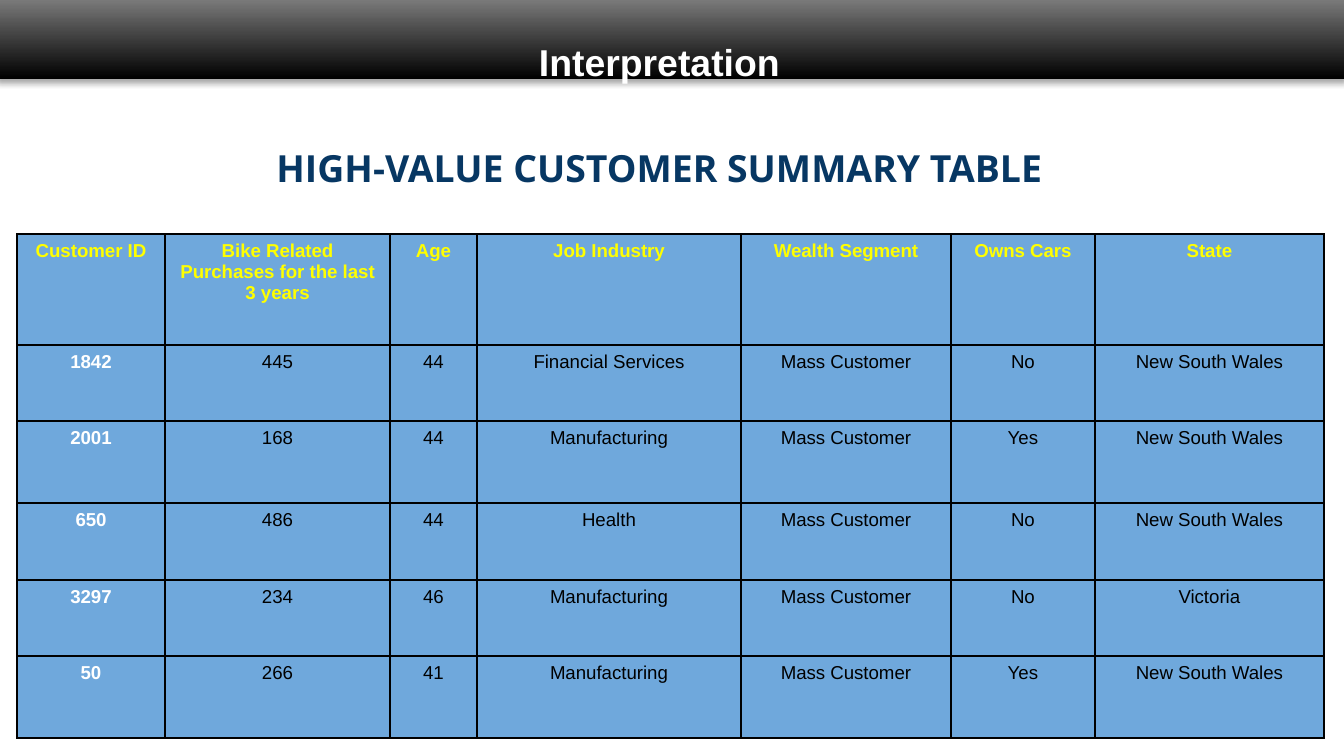
from lxml import etree
from pptx import Presentation
from pptx import util as u
from pptx.dml.color import RGBColor
from pptx.enum import shapes, text
from pptx.oxml import ns

# Content
TITLE = "Interpretation"
HEADING = "HIGH-VALUE CUSTOMER SUMMARY TABLE"
HEADERS = ["Customer ID", "Bike Related Purchases for the last 3 years", "Age",
           "Job Industry", "Wealth Segment", "Owns Cars", "State"]
CUSTOMERS = [
    ("1842", "445", "44", "Financial Services", "Mass Customer", "No", "New South Wales"),
    ("2001", "168", "44", "Manufacturing", "Mass Customer", "Yes", "New South Wales"),
    ("650", "486", "44", "Health", "Mass Customer", "No", "New South Wales"),
    ("3297", "234", "46", "Manufacturing", "Mass Customer", "No", "Victoria"),
    ("50", "266", "41", "Manufacturing", "Mass Customer", "Yes", "New South Wales"),
]

# Layout in pixels
SLIDE_SIZE = (1344, 756)
BANNER_BOX = (-4, -44, 1351, 123)
TITLE_BOX = (30, 26, 1259, 86)
HEADING_BOX = (30, 125, 1259, 75)
TABLE_ORIGIN = (17, 234)
COLUMN_WIDTHS = [148, 225, 87, 264, 210, 144, 229]
ROW_HEIGHTS = [111, 76, 82, 77, 76, 82]

BLACK, WHITE, GRAY = "000000", "FFFFFF", "BDBDBD"
NAVY, YELLOW, BLUE = "073763", "FFFF00", "6FA8DC"


def px(value):
    return u.Emu(round(value * 914400 / 134.4))


def rgb(value):
    return RGBColor.from_string(value)


def add_element(parent, tag, **attributes):
    return etree.SubElement(parent, ns.qn(tag), attributes)


def write(frame, words, size, font, color, bold, spacing=None):
    paragraph = frame.paragraphs[0]
    paragraph.alignment = text.PP_ALIGN.CENTER
    if spacing:
        paragraph.line_spacing = spacing
    run = paragraph.add_run()
    run.text = words
    run.font.size = u.Pt(size)
    run.font.name = font
    run.font.bold = bold
    run.font.color.rgb = rgb(color)


def format_box(shape, box):
    shape.left, shape.top, shape.width, shape.height = map(px, box)
    frame = shape.text_frame
    frame.word_wrap = True
    frame.auto_size = text.MSO_AUTO_SIZE.NONE
    frame.vertical_anchor = text.MSO_ANCHOR.TOP
    frame.margin_left = frame.margin_right = u.Inches(0.1)
    frame.margin_top = frame.margin_bottom = u.Inches(0.1)
    return frame


def add_borders(cell):
    properties = cell._tc.get_or_add_tcPr()
    for index, side in enumerate(("a:lnL", "a:lnR", "a:lnT", "a:lnB")):
        line = add_element(properties, side, w=str(u.Pt(1)))
        add_element(add_element(line, "a:solidFill"), "a:srgbClr", val=BLACK)
        properties.insert(index, line)


presentation = Presentation()
presentation.slide_width, presentation.slide_height = map(px, SLIDE_SIZE)
slide = presentation.slides.add_slide(presentation.slide_layouts[5])
title = slide.shapes.title

# Banner behind the title
banner = slide.shapes.add_shape(shapes.MSO_SHAPE.RECTANGLE, *map(px, BANNER_BOX))
banner.line.fill.background()
banner.fill.gradient()
banner.fill.gradient_angle = 90
for stop, color in zip(banner.fill.gradient_stops, (BLACK, GRAY)):
    stop.color.rgb = rgb(color)
banner.shadow.inherit = False
effects = banner.element.spPr.find(ns.qn("a:effectLst"))
shadow = add_element(effects, "a:outerShdw", blurRad=str(u.Pt(3.1)), dist=str(u.Pt(1.8)),
                     dir="5400000", rotWithShape="0")
add_element(add_element(shadow, "a:srgbClr", val=BLACK), "a:alpha", val="35000")
title.element.addprevious(banner.element)

# Title and heading
write(format_box(title, TITLE_BOX), TITLE, 20, "Arial", WHITE, True)
heading = slide.shapes.add_textbox(*map(px, HEADING_BOX))
write(format_box(heading, HEADING_BOX), HEADING, 20, "Open Sans", NAVY, True, 1.15)

# Customer table
rows = [HEADERS, *CUSTOMERS]
table = slide.shapes.add_table(
    len(rows), len(HEADERS), *map(px, TABLE_ORIGIN),
    px(sum(COLUMN_WIDTHS)), px(sum(ROW_HEIGHTS))).table
table.first_row = table.horz_banding = False
for column, width in zip(table.columns, COLUMN_WIDTHS):
    column.width = px(width)
for row, height in zip(table.rows, ROW_HEIGHTS):
    row.height = px(height)

for row_index, values in enumerate(rows):
    for column_index, value in enumerate(values):
        cell = table.cell(row_index, column_index)
        cell.fill.solid()
        cell.fill.fore_color.rgb = rgb(BLUE)
        add_borders(cell)
        is_header, is_id = row_index == 0, column_index == 0
        color = YELLOW if is_header else WHITE if is_id else BLACK
        write(cell.text_frame, value, 10, "Arial", color, is_header or is_id)

presentation.save("out.pptx")
